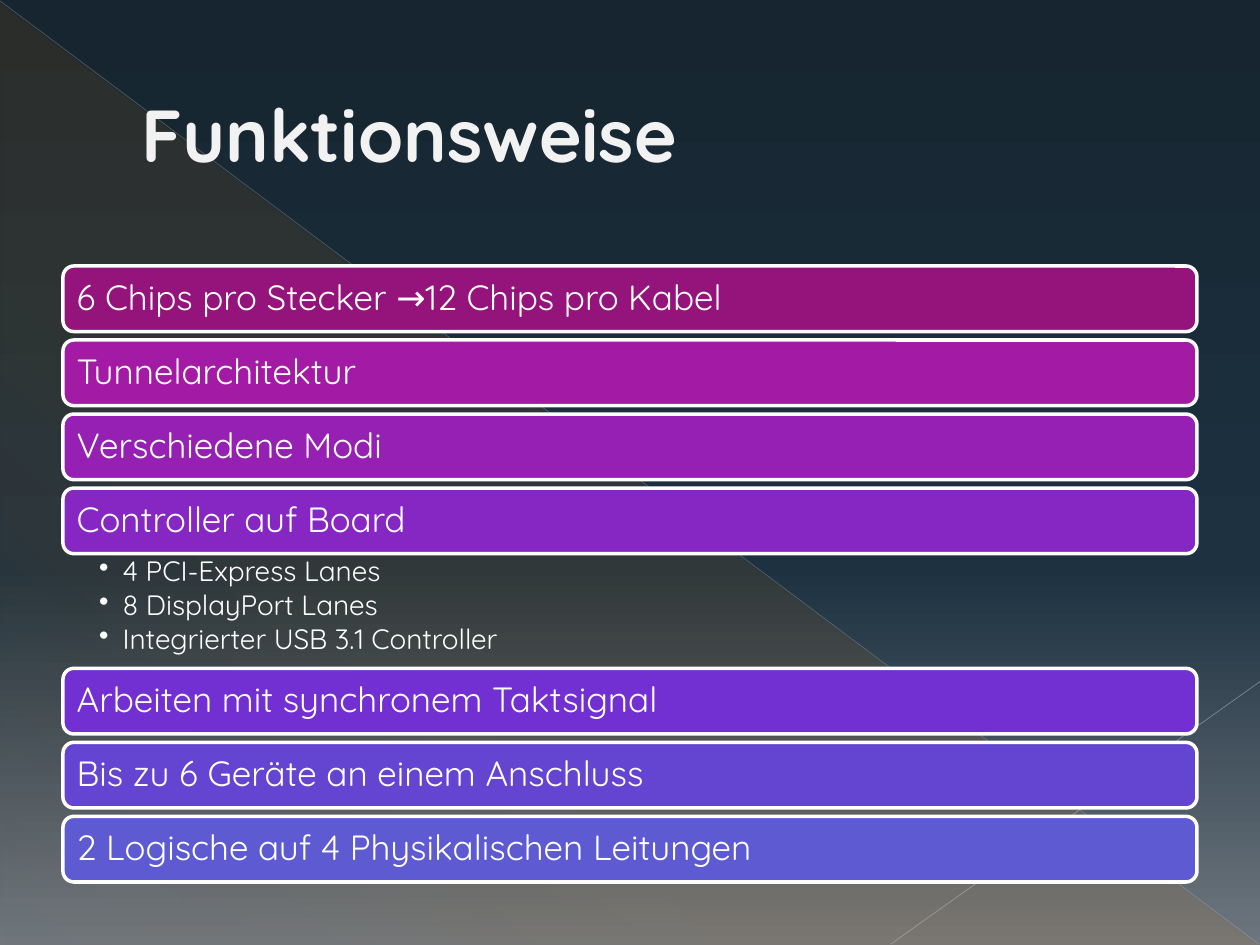
from pptx import Presentation
from pptx.dml.color import RGBColor
from pptx.enum.shapes import MSO_CONNECTOR, MSO_SHAPE
from pptx.enum.text import MSO_ANCHOR, PP_ALIGN
from pptx.oxml.ns import qn
from pptx.util import Pt
from lxml import etree

ROUNDED = MSO_SHAPE.ROUNDED_RECTANGLE
TRIANGLE = MSO_SHAPE.RIGHT_TRIANGLE
STRAIGHT = MSO_CONNECTOR.STRAIGHT
MIDDLE, TOP = MSO_ANCHOR.MIDDLE, MSO_ANCHOR.TOP
LEFT = PP_ALIGN.LEFT

FONT = "Quicksand"
WHITE = RGBColor(0xFF, 0xFF, 0xFF)
TITLE_COLOR = RGBColor(0xF2, 0xF2, 0xF2)
ORANGE = RGBColor(0xFF, 0x86, 0x00)
LONG_LINE = RGBColor(0xB5, 0xB6, 0xB8)
SHORT_LINE = RGBColor(0xBD, 0xBE, 0xC0)
NIGHT = RGBColor(0x16, 0x25, 0x30)
SLATE = RGBColor(0x1D, 0x31, 0x40)
MIST = RGBColor(0x6D, 0x76, 0x7E)

SIDE, BAR_WIDTH, BAR_HEIGHT = 36, 648, 37.5
FIRST_TOP, GAP, DETAILS_HEIGHT = 152, 4.8, 65.5

# Bar text, bar colour, bullets below the bar
BARS = [
    ("6 Chips pro Stecker →12 Chips pro Kabel", RGBColor(0x94, 0x14, 0x7C), []),
    ("Tunnelarchitektur", RGBColor(0xA3, 0x1A, 0xA4), []),
    ("Verschiedene Modi", RGBColor(0x96, 0x20, 0xB4), []),
    ("Controller auf Board", RGBColor(0x86, 0x27, 0xC3),
     ["4 PCI-Express Lanes", "8 DisplayPort Lanes",
      "Integrierter USB 3.1 Controller"]),
    ("Arbeiten mit synchronem Taktsignal", RGBColor(0x72, 0x2F, 0xD1), []),
    ("Bis zu 6 Geräte an einem Anschluss", RGBColor(0x64, 0x45, 0xD1), []),
    ("2 Logische auf 4 Physikalischen Leitungen", RGBColor(0x5D, 0x5A, 0xD2), []),
]


def add_alpha(color_element, percent):
    alpha = etree.SubElement(color_element, qn("a:alpha"))
    alpha.set("val", str(percent * 1000))


def set_gradient(fill, parent, stops, angle):
    """Fill with stops of (position, colour, opacity), all in percent."""
    fill.gradient()
    gradient = next(parent.iter(qn("a:gradFill")))
    stop_list = gradient.find(qn("a:gsLst"))
    for old_stop in list(stop_list):
        stop_list.remove(old_stop)
    for position, color, opacity in stops:
        stop = etree.SubElement(stop_list, qn("a:gs"))
        stop.set("pos", str(position * 1000))
        color_element = etree.SubElement(stop, qn("a:srgbClr"))
        color_element.set("val", str(color))
        if opacity < 100:
            add_alpha(color_element, opacity)
    gradient.find(qn("a:lin")).set("ang", str(angle * 60000))


def add_line(slide, start, end, color, width, opacity):
    line = slide.shapes.add_connector(
        STRAIGHT, *(Pt(value) for value in (*start, *end)))
    line.line.color.rgb = color
    line.line.width = Pt(width)
    properties = line.element.spPr
    add_alpha(next(properties.iter(qn("a:srgbClr"))), opacity)
    etree.SubElement(properties, qn("a:effectLst"))


def set_frame(frame, insets, anchor):
    frame.word_wrap = True
    frame.vertical_anchor = anchor
    (frame.margin_left, frame.margin_top,
     frame.margin_right, frame.margin_bottom) = (Pt(inset) for inset in insets)


def add_text(paragraph, text, size, color, bold=False):
    paragraph.alignment = LEFT
    run = paragraph.add_run()
    run.text = text
    run.font.name = FONT
    run.font.size = Pt(size)
    run.font.bold = bold
    run.font.color.rgb = color


def set_indent(paragraph, margin, indent=0):
    properties = paragraph._p.get_or_add_pPr()
    properties.set("marL", str(Pt(margin)))
    properties.set("indent", str(Pt(indent)))
    return properties


def add_background(slide):
    set_gradient(slide.background.fill, slide.element,
                 [(0, NIGHT, 100), (60, SLATE, 100), (100, MIST, 100)], 90)
    triangle = slide.shapes.add_shape(TRIANGLE, Pt(0.5), Pt(1.4), Pt(719), Pt(538.6))
    triangle.shadow.inherit = False
    triangle.line.fill.background()
    set_gradient(triangle.fill, triangle.element.spPr,
                 [(0, ORANGE, 10), (70, ORANGE, 8), (100, ORANGE, 1)], 133)
    add_line(slide, (0, 0.5), (719.5, 539.5), LONG_LINE, 0.39, 35)
    add_line(slide, (720, 389.5), (509, 539.5), SHORT_LINE, 0.47, 45)


def add_title(slide, text):
    box = slide.shapes.add_textbox(Pt(SIDE), Pt(21), Pt(BAR_WIDTH), Pt(110))
    set_frame(box.text_frame, (7.2, 3.6, 7.2, 3.6), MIDDLE)
    paragraph = box.text_frame.paragraphs[0]
    set_indent(paragraph, 38)
    add_text(paragraph, text, 42, TITLE_COLOR, bold=True)


def add_bar(slide, top, text, color):
    bar = slide.shapes.add_shape(
        ROUNDED, Pt(SIDE), Pt(top), Pt(BAR_WIDTH), Pt(BAR_HEIGHT))
    bar.shadow.inherit = False
    bar.fill.solid()
    bar.fill.fore_color.rgb = color
    bar.line.color.rgb = WHITE
    bar.line.width = Pt(2)
    set_frame(bar.text_frame, (6, 6, 6, 6), MIDDLE)
    paragraph = bar.text_frame.paragraphs[0]
    paragraph.line_spacing = 0.9
    add_text(paragraph, text, 20, WHITE)


def add_details(slide, top, items):
    box = slide.shapes.add_textbox(
        Pt(SIDE), Pt(top), Pt(BAR_WIDTH), Pt(DETAILS_HEIGHT))
    frame = box.text_frame
    set_frame(frame, (20.6, 2, 11.5, 2), TOP)
    for index, item in enumerate(items):
        paragraph = frame.add_paragraph() if index else frame.paragraphs[0]
        paragraph.line_spacing = 0.9
        paragraph.space_after = Pt(2.3)
        properties = set_indent(paragraph, 13.5, -13.5)
        etree.SubElement(properties, qn("a:buChar")).set("char", "•")
        add_text(paragraph, item, 16, WHITE)


def main():
    presentation = Presentation()
    presentation.slide_width, presentation.slide_height = Pt(720), Pt(540)
    slide = presentation.slides.add_slide(presentation.slide_layouts[6])

    add_background(slide)
    add_title(slide, "Funktionsweise")

    # Stack of bars, with bullets taking the place of a gap
    top = FIRST_TOP
    for text, color, details in BARS:
        add_bar(slide, top, text, color)
        top += BAR_HEIGHT
        if details:
            add_details(slide, top, details)
        top += DETAILS_HEIGHT if details else GAP

    presentation.save("out.pptx")


if __name__ == "__main__":
    main()
